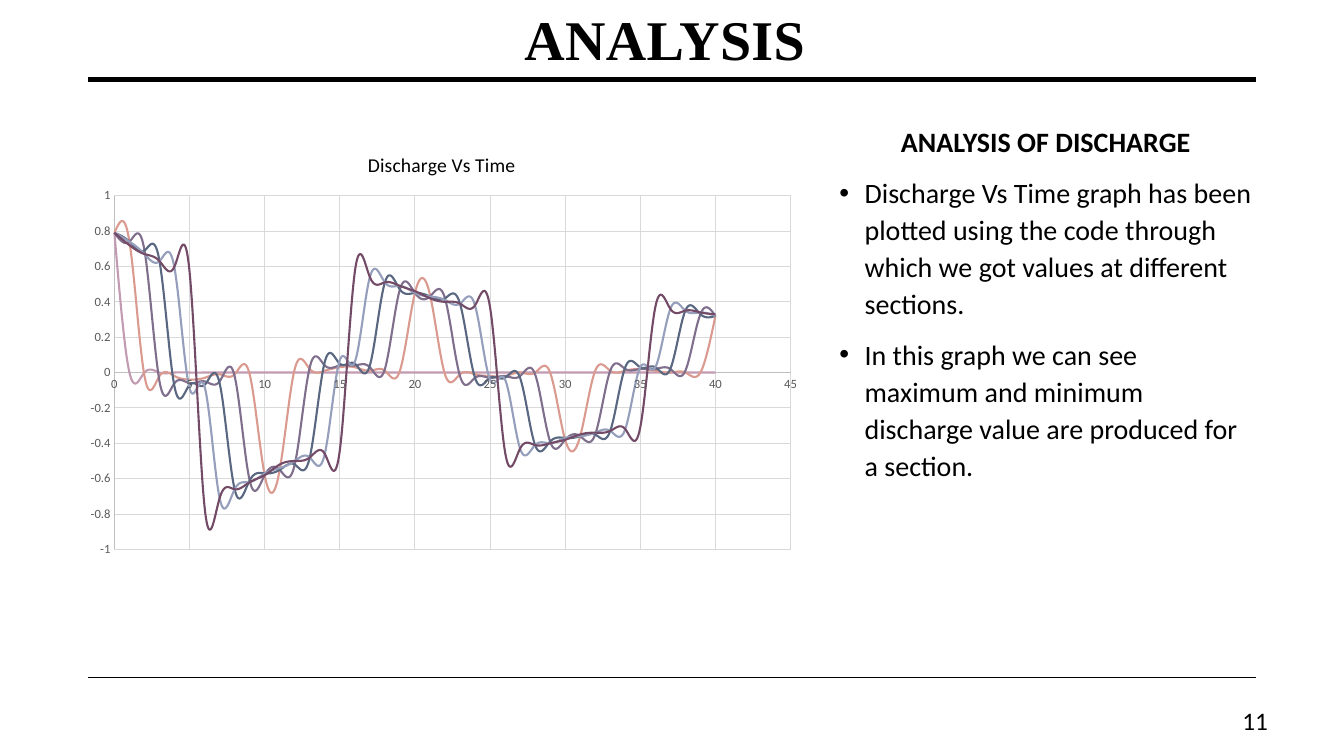
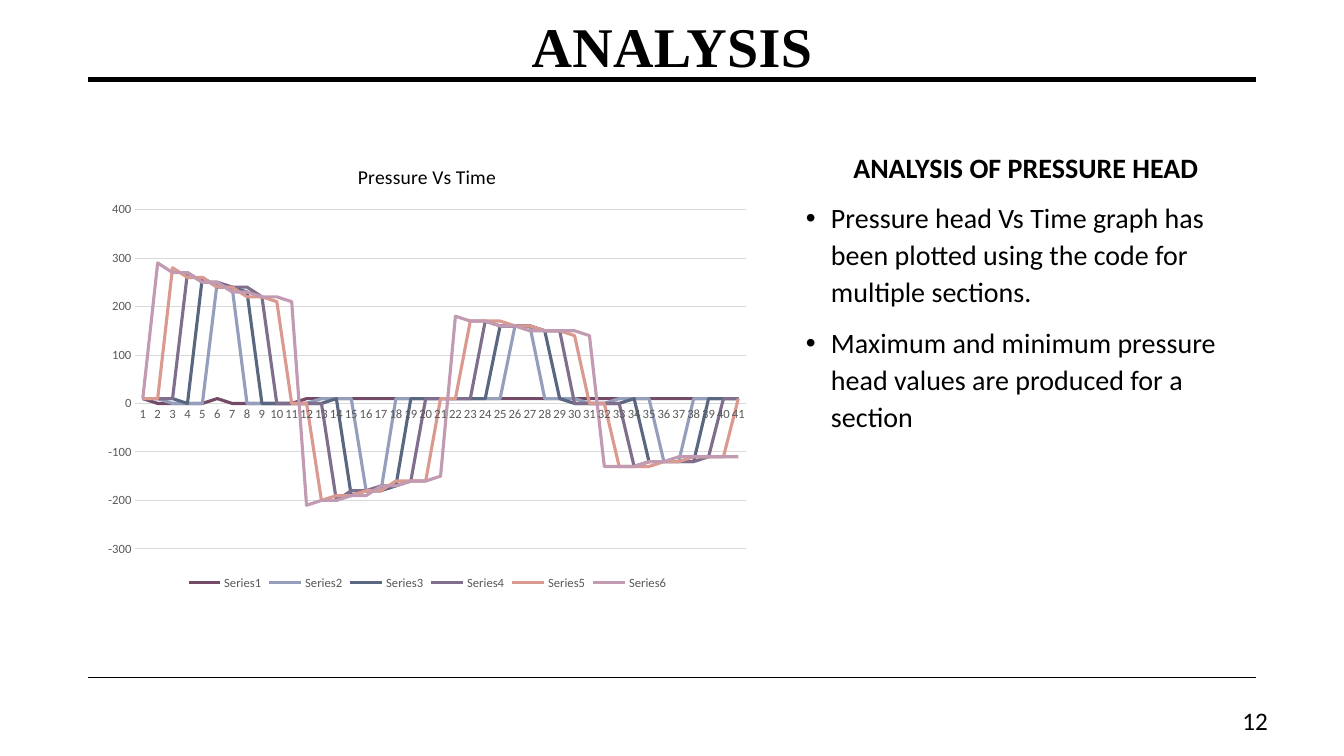
import pptx
import pptx.chart.data
import pptx.dml.color
import pptx.enum.chart
import pptx.enum.shapes
import pptx.enum.text
import pptx.oxml
import pptx.oxml.ns
import pptx.util

RGBColor = pptx.dml.color.RGBColor
ChartType = pptx.enum.chart.XL_CHART_TYPE
Align = pptx.enum.text.PP_ALIGN
Pt = pptx.util.Pt

# Shared style: 96 px to the inch
EMU_PER_PX = 9525
BLACK = RGBColor(0x00, 0x00, 0x00)
WHITE = RGBColor(0xFF, 0xFF, 0xFF)
LABEL_GRAY = RGBColor(0x59, 0x59, 0x59)
AXIS_GRAY = RGBColor(0xBF, 0xBF, 0xBF)
GRID_GRAY = RGBColor(0xD9, 0xD9, 0xD9)
SERIES_COLORS = (
    RGBColor(0x73, 0x4B, 0x67),
    RGBColor(0x95, 0x9E, 0xBB),
    RGBColor(0x59, 0x67, 0x81),
    RGBColor(0x7F, 0x6E, 0x8C),
    RGBColor(0xDB, 0x9A, 0x8F),
    RGBColor(0xC2, 0x9A, 0xB1),
)
TITLE_FONT = "Times New Roman"
BODY_FONT = "Calibri"

# Chart values, one row per section
DISCHARGE = (
    (0.79, 0.72, 0.67, 0.63, 0.6, 0.57, -0.76, -0.71, -0.66, -0.62, -0.58,
     -0.52, -0.5, -0.48, -0.46, -0.44, 0.57, 0.54, 0.51, 0.49, 0.46, 0.42,
     0.4, 0.39, 0.38, 0.37, -0.45, -0.43, -0.41, -0.4, -0.38, -0.35, -0.34,
     -0.33, -0.32, -0.31, 0.37, 0.36, 0.35, 0.34, 0.33),
    (0.79, 0.74, 0.67, 0.63, 0.59, -0.09, -0.08, -0.71, -0.66, -0.62, -0.57,
     -0.54, -0.5, -0.48, -0.46, 0.07, 0.06, 0.54, 0.51, 0.49, 0.45, 0.43,
     0.41, 0.39, 0.38, -0.04, -0.04, -0.43, -0.41, -0.4, -0.37, -0.36, -0.34,
     -0.33, -0.32, 0.03, 0.03, 0.36, 0.35, 0.34, 0.32),
    (0.79, 0.74, 0.69, 0.63, -0.08, -0.07, -0.07, -0.06, -0.66, -0.61, -0.57,
     -0.55, -0.52, -0.48, 0.06, 0.05, 0.05, 0.04, 0.51, 0.47, 0.45, 0.43,
     0.42, 0.39, -0.03, -0.03, -0.03, -0.03, -0.41, -0.39, -0.37, -0.36,
     -0.35, -0.33, 0.03, 0.03, 0.03, 0.02, 0.35, 0.33, 0.32),
    (0.79, 0.74, 0.69, -0.05, -0.06, -0.06, -0.05, -0.05, -0.02, -0.61, -0.58,
     -0.55, -0.52, 0.03, 0.04, 0.04, 0.04, 0.03, 0.02, 0.47, 0.45, 0.43,
     0.42, -0.02, -0.03, -0.03, -0.02, -0.02, -0.01, -0.39, -0.38, -0.36,
     -0.35, 0.01, 0.02, 0.02, 0.02, 0.02, 0.01, 0.33, 0.32),
    (0.79, 0.74, -0.02, -0.02, -0.02, -0.04, -0.03, -0.01, -0.01, -0.01, -0.58,
     -0.55, 0.02, 0.02, 0.01, 0.03, 0.03, 0.01, 0.01, 0.01, 0.45, 0.44,
     -0.01, -0.01, -0.01, -0.02, -0.02, 0, 0, 0, -0.38, -0.36, 0.01,
     0.01, 0.01, 0.02, 0.01, 0, 0, 0, 0.32),
    (0.79,) + (0,) * 40,
)
PRESSURE = (
    (10, 0, 0, 0, 0, 10, 0, 0, 0, 0, 0) + (10,) * 30,
    (10, 10, 0, 0, 0, 250, 240, 0, 0, 0, 0, 0, 10, 10, 10, -180, -180, 10, 10,
     10, 10, 10, 10, 10, 10, 160, 160, 10, 10, 10, 0, 0, 10, 10, 10, -120,
     -120, 10, 10, 10, 10),
    (10, 10, 10, 0, 260, 240, 240, 230, 0, 0, 0, 0, 0, 10, -190, -180, -180,
     -170, 10, 10, 10, 10, 10, 10, 160, 160, 160, 150, 10, 0, 0, 0, 0, 10,
     -120, -120, -120, -120, 10, 10, 10),
    (10, 10, 10, 270, 250, 250, 240, 240, 220, 0, 0, 0, 0, -200, -180, -180,
     -170, -170, -160, 10, 10, 10, 10, 170, 160, 160, 160, 150, 150, 0, 0, 0,
     0, -130, -120, -120, -120, -120, -110, 10, 10),
    (10, 10, 280, 260, 260, 240, 240, 220, 220, 210, 0, 0, -200, -190, -190,
     -180, -180, -160, -160, -160, 10, 10, 170, 170, 170, 160, 160, 150, 150,
     140, 0, 0, -130, -130, -130, -120, -120, -110, -110, -110, 10),
    (10, 290, 270, 270, 250, 250, 230, 230, 220, 220, 210, -210, -200, -200,
     -190, -190, -170, -170, -160, -160, -150, 180, 170, 170, 160, 160, 150,
     150, 150, 150, 140, -130, -130, -130, -120, -120, -110, -110, -110, -110,
     -110),
)


def px(*lengths):
    return [pptx.util.Emu(length * EMU_PER_PX) for length in lengths]


def set_layout(parent, index, inner=False, **fractions):
    """Place a chart part by fractions of the chart's size."""
    for old in parent.findall(pptx.oxml.ns.qn("c:layout")):
        parent.remove(old)
    target = '<c:layoutTarget val="inner"/>' if inner else ""
    modes = "".join(f'<c:{key}Mode val="edge"/>' for key in "xy")
    values = "".join(f'<c:{key} val="{value}"/>' for key, value in fractions.items())
    parent.insert(index, pptx.oxml.parse_xml(
        f'<c:layout {pptx.oxml.ns.nsdecls("c")}><c:manualLayout>'
        f"{target}{modes}{values}</c:manualLayout></c:layout>"))


class Deck:
    def __init__(self):
        self.presentation = pptx.Presentation()
        self.presentation.slide_width, self.presentation.slide_height = px(1280, 720)
        self.slide = None

    def new_slide(self, title, title_top, number):
        self.slide = self.presentation.slides.add_slide(self.presentation.slide_layouts[6])
        self.slide.background.fill.solid()
        self.slide.background.fill.fore_color.rgb = WHITE
        self.rule(76, 3.5)
        self.rule(645, 1)
        # Title
        frame = self.text_frame(79, title_top, 1122, 144)
        frame.paragraphs[0].alignment = Align.CENTER
        run = self.add_run(frame.paragraphs[0], title, 40, True, TITLE_FONT)
        run.font._element.set("spc", "30")
        # Slide number
        frame = self.text_frame(1146, 667, 71, 38)
        frame.vertical_anchor = pptx.enum.text.MSO_ANCHOR.MIDDLE
        frame.paragraphs[0].alignment = Align.RIGHT
        self.add_run(frame.paragraphs[0], str(number), 18)

    def rule(self, top, weight):
        line = self.slide.shapes.add_connector(
            pptx.enum.shapes.MSO_CONNECTOR.STRAIGHT, *px(84, top, 1196, top))
        line.line.color.rgb = BLACK
        line.line.width = Pt(weight)
        line._element.spPr.append(pptx.oxml.parse_xml(
            f'<a:effectLst {pptx.oxml.ns.nsdecls("a")}/>'))

    def text_frame(self, left, top, width, height):
        frame = self.slide.shapes.add_textbox(*px(left, top, width, height)).text_frame
        frame.word_wrap = True
        return frame

    def set_font(self, font, size, color=BLACK, bold=False, name=BODY_FONT):
        font.name = name
        font.size = Pt(size)
        font.bold = bold
        font.color.rgb = color

    def add_run(self, paragraph, text, size, bold=False, name=BODY_FONT):
        run = paragraph.add_run()
        run.text = text
        self.set_font(run.font, size, BLACK, bold, name)
        return run

    def text_column(self, box, heading, points):
        frame = self.text_frame(*box)
        paragraph = frame.paragraphs[0]
        paragraph.alignment = Align.CENTER
        paragraph.line_spacing = 1.1
        self.add_run(paragraph, heading, 20, True)
        for point in points:
            paragraph = frame.add_paragraph()
            properties = paragraph._p.get_or_add_pPr()
            indent = px(24)[0]
            properties.set("marL", str(indent))
            properties.set("indent", str(-indent))
            for bullet in ('buFont {} typeface="Arial"', 'buChar {} char="•"'):
                tag = bullet.format(pptx.oxml.ns.nsdecls("a"))
                properties.append(pptx.oxml.parse_xml(f"<a:{tag}/>"))
            paragraph.line_spacing = 1.1
            paragraph.space_before = Pt(10)
            self.add_run(paragraph, point, 20)

    def line_chart(self, kind, box, title, data, weight, plot_area):
        chart = self.slide.shapes.add_chart(kind, *px(*box), data).chart
        self.set_font(chart.font, 10)
        chart.has_legend = False
        # Title and plot area
        chart.has_title = True
        paragraph = chart.chart_title.text_frame.paragraphs[0]
        self.add_run(paragraph, title, 14)
        set_layout(chart.chart_title._element, 1, x=0.39, y=0.04)
        set_layout(chart._chartSpace.chart.plotArea, 0, inner=True, **plot_area)
        # Series
        plot = chart.plots[0]
        plot.vary_by_categories = False
        smooth = kind == ChartType.XY_SCATTER_SMOOTH_NO_MARKERS
        for series, color in zip(plot.series, SERIES_COLORS):
            series.format.line.color.rgb = color
            series.format.line.width = Pt(weight)
            series.marker.style = pptx.enum.chart.XL_MARKER_STYLE.NONE
            series._element.get_or_add_smooth().val = smooth
        return chart

    def style_axis(self, axis, line=None, grid=None, scale=None):
        none = pptx.enum.chart.XL_TICK_MARK.NONE
        axis.major_tick_mark = axis.minor_tick_mark = none
        self.set_font(axis.tick_labels.font, 9, LABEL_GRAY)
        axis.tick_labels.number_format = "General"
        axis.tick_labels.number_format_is_linked = False
        axis.has_major_gridlines = grid is not None
        if grid is not None:
            self.style_line(axis.major_gridlines.format.line, grid)
        if line is not None:
            self.style_line(axis.format.line, line)
        else:
            axis.format.line.fill.background()
        if scale is not None:
            axis.minimum_scale, axis.maximum_scale, step = scale
            # Value axes carry the step between gridlines
            axis._element.get_or_add_majorUnit().val = step

    def style_line(self, line, color):
        line.color.rgb = color
        line.width = Pt(0.75)

    def bottom_legend(self, chart):
        chart.has_legend = True
        chart.legend.position = pptx.enum.chart.XL_LEGEND_POSITION.BOTTOM
        chart.legend.include_in_layout = False
        self.set_font(chart.legend.font, 9, LABEL_GRAY)


def discharge_slide(deck):
    deck.new_slide("ANALYSIS ", 0, 11)
    data = pptx.chart.data.XyChartData()
    for number, values in enumerate(DISCHARGE, 1):
        series = data.add_series(f"Series {number}")
        for time, value in enumerate(values):
            series.add_data_point(time, value)
    chart = deck.line_chart(
        ChartType.XY_SCATTER_SMOOTH_NO_MARKERS, (74, 124, 700, 416),
        "Discharge Vs Time", data, 1.5, dict(x=0.05, y=0.15, w=0.92, h=0.81))
    deck.style_axis(chart.category_axis, AXIS_GRAY, GRID_GRAY, (0, 45, 5))
    deck.style_axis(chart.value_axis, AXIS_GRAY, GRID_GRAY, (-1, 1, 0.2))
    deck.text_column((790, 111, 412, 497), "ANALYSIS OF DISCHARGE", (
        "Discharge Vs Time graph has been plotted using the code through "
        "which we got values at different sections.",
        "In this graph we can see maximum and minimum discharge value are "
        "produced for a section.",
    ))


def pressure_slide(deck):
    deck.new_slide("ANALYSIS", 6, 12)
    data = pptx.chart.data.CategoryChartData()
    data.categories = [str(step) for step in range(1, 42)]
    for number, values in enumerate(PRESSURE, 1):
        data.add_series(f"Series{number}", values)
    chart = deck.line_chart(
        ChartType.LINE, (91, 135, 632, 431),
        "Pressure Vs Time", data, 2.25, dict(x=0.06, y=0.15, w=0.92, h=0.75))
    deck.style_axis(chart.category_axis, line=GRID_GRAY)
    deck.style_axis(chart.value_axis, grid=GRID_GRAY, scale=(-300, 400, 100))
    deck.bottom_legend(chart)
    deck.text_column((758, 135, 438, 476), "ANALYSIS OF PRESSURE HEAD", (
        "Pressure head Vs Time graph has been plotted using the code for "
        "multiple sections.",
        "Maximum and minimum pressure head values are produced for a section",
    ))


def main():
    deck = Deck()
    discharge_slide(deck)
    pressure_slide(deck)
    deck.presentation.save("out.pptx")


if __name__ == "__main__":
    main()
